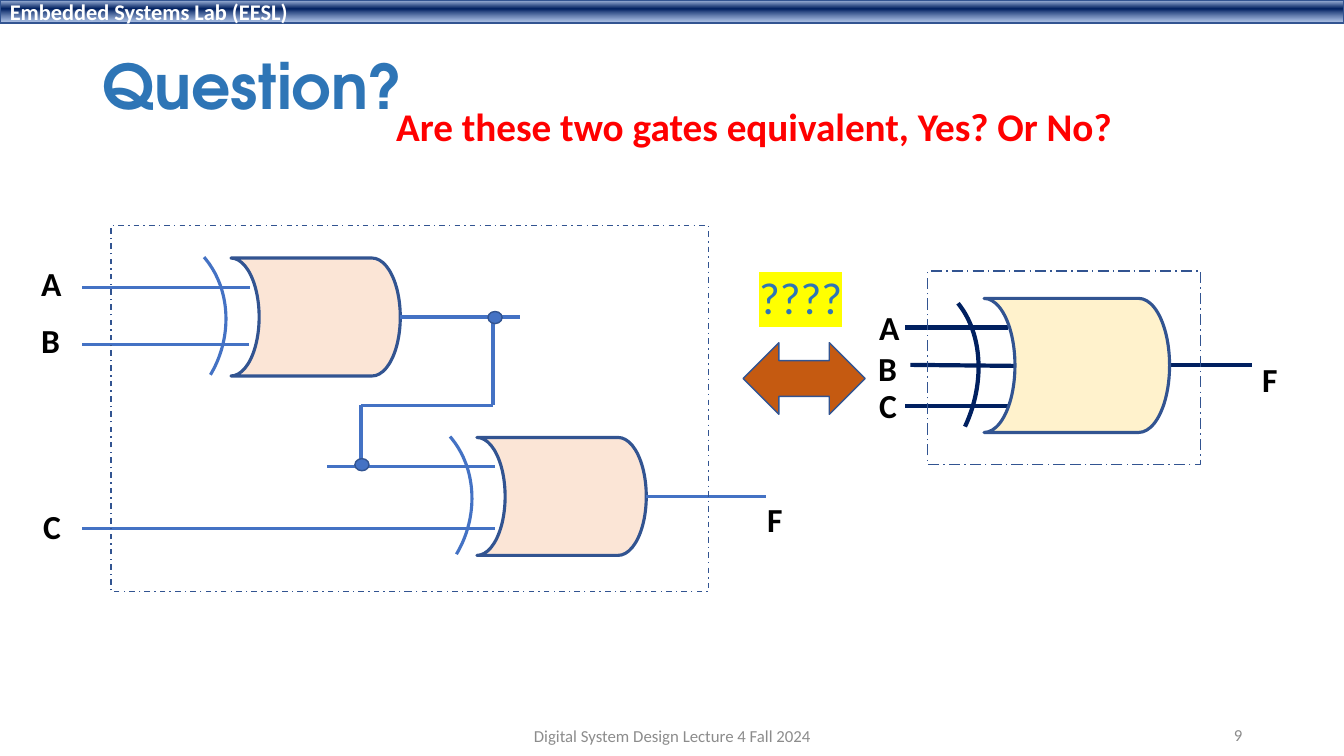
"""Builds a slide asking whether two XOR gate circuits are equivalent."""
from pptx import Presentation, oxml, util as u
from pptx.dml.color import RGBColor
from pptx.enum import dml, shapes, text
from pptx.oxml import ns

NAVY, BLUE, OUTLINE = "002060", "4472C4", "325491"
BLACK, GREY, TITLE_BLUE = "000000", "8C8C8C", "2E75B6"
KIND = shapes.MSO_SHAPE
LEFT, CENTER, RIGHT = text.PP_ALIGN.LEFT, text.PP_ALIGN.CENTER, text.PP_ALIGN.RIGHT
TOP, MIDDLE = text.MSO_ANCHOR.TOP, text.MSO_ANCHOR.MIDDLE

BAR_STOPS = [(2, "ABC0E4", 100), (38, NAVY, 100), (93, "7E9ED6", 64)]

SINGLE_GATE = {
    "wires": [(8.98, 3.25, 10, 3.25), (9.03, 3.62, 10.07, 3.63),
              (11.61, 3.62, 12.42, 3.62), (8.98, 4.03, 10.02, 4.03)],
    "labels": [("A", 8.62, 3), ("B", 8.61, 3.4), ("C", 8.62, 3.77), ("F", 12.42, 3.51)],
    "frame": (9.2, 2.69, 2.71, 1.92),
    "body": (9.76, 2.96, 1.84, 1.33),
    "arc": (7.99, 2.73, 1.68, 2.2),
}
CASCADE = {
    "gates": [(2.29, 2.56), (4.73, 4.34)],
    "wires": [(2.47, 3.42, 0.81, 3.42), (2.48, 2.85, 0.81, 2.85),
              (4.91, 5.24, 0.81, 5.24), (4.91, 4.63, 3.24, 4.63),
              (4.89, 3.15, 4.89, 4.02), (4.89, 4.02, 3.58, 4.02),
              (3.58, 4.02, 3.58, 4.63)],
    "joints": [(4.84, 3.09), (3.52, 4.55)],
    "labels": [("A", 0.31, 2.56), ("B", 0.31, 3.12), ("C", 0.33, 4.97), ("F", 7.51, 4.9)],
    "frame": (1.1, 2.24, 5.93, 3.63),
}


def color(value):
    return RGBColor.from_string(value)


def inches(lengths):
    return [u.Inches(length) for length in lengths]


def write(shape, words, size, ink, bold=False, font="Calibri", align=LEFT,
          anchor=TOP, wrap=True, highlight=None):
    frame = shape.text_frame
    frame.word_wrap = wrap
    frame.auto_size = text.MSO_AUTO_SIZE.NONE
    frame.vertical_anchor = anchor
    paragraph = frame.paragraphs[0]
    paragraph.alignment = align
    run = paragraph.add_run()
    run.text = words
    run.font.size = u.Pt(size)
    run.font.bold = bold
    run.font.color.rgb = color(ink)
    if highlight:
        run.font.fill
        run._r.get_or_add_rPr().append(oxml.parse_xml(
            f'<a:highlight {ns.nsdecls("a")}><a:srgbClr val="{highlight}"/></a:highlight>'))
    run.font.name = font
    return paragraph


def add_text(parent, box, *content, **style):
    return write(parent.add_textbox(*inches(box)), *content, **style)


def add_shape(parent, kind, box, fill=None, line=OUTLINE, width=1, turn=0, dash=None):
    shape = parent.add_shape(kind, *inches(box))
    shape.shadow.inherit = False
    shape.rotation = turn
    if fill:
        shape.fill.solid()
        shape.fill.fore_color.rgb = color(fill)
    else:
        shape.fill.background()
    shape.line.color.rgb = color(line)
    shape.line.width = u.Pt(width)
    if dash:
        shape.line.dash_style = dash
    return shape


def add_wire(parent, ends, ink, width):
    wire = parent.add_connector(shapes.MSO_CONNECTOR.STRAIGHT, *inches(ends))
    wire.line.color.rgb = color(ink)
    wire.line.width = u.Pt(width)
    wire._element.spPr.append(oxml.parse_xml(f'<a:effectLst {ns.nsdecls("a")}/>'))


def add_arc(parent, box, ink, width, turn, angles):
    arc = add_shape(parent, KIND.ARC, box, line=ink, width=width, turn=turn)
    for index, angle in enumerate(angles):
        arc.adjustments[index] = angle


def add_body(parent, box, fill):
    add_shape(parent, KIND.FLOWCHART_STORED_DATA, box, fill, width=2.25, turn=180)


def add_labels(parent, labels):
    for letter, left, top in labels:
        add_text(parent, (left, top, 0.49, 0.5), letter, 24, BLACK, bold=True)


def add_bar(parent):
    bar = add_shape(parent, KIND.RECTANGLE, (0, 0, 13.33, 0.23))
    stops = "".join(
        f'<a:gs pos="{place * 1000}"><a:srgbClr val="{ink}">'
        f'<a:alpha val="{opacity * 1000}"/></a:srgbClr></a:gs>'
        for place, ink, opacity in BAR_STOPS)
    properties = bar._element.spPr
    empty = properties.find(ns.qn("a:noFill"))
    properties.replace(empty, oxml.parse_xml(
        f'<a:gradFill {ns.nsdecls("a")} rotWithShape="1"><a:gsLst>{stops}</a:gsLst>'
        '<a:lin ang="5400000" scaled="0"/></a:gradFill>'))
    write(bar, "Embedded Systems Lab (EESL)", 16, "FFFFFF", bold=True, anchor=MIDDLE)


def add_single_gate(parent):
    for ends in SINGLE_GATE["wires"]:
        add_wire(parent, ends, NAVY, 3)
    add_labels(parent, SINGLE_GATE["labels"])
    add_shape(parent, KIND.RECTANGLE, SINGLE_GATE["frame"],
              dash=dml.MSO_LINE.LONG_DASH_DOT)
    add_body(parent, SINGLE_GATE["body"], "FFF2CC")
    add_arc(parent, SINGLE_GATE["arc"], NAVY, 3, 20.4, (173.337, 4.866))


def add_cascade(parent):
    for left, top in CASCADE["gates"]:
        add_body(parent, (left, top, 1.68, 1.17), "FBE5D6")
        add_arc(parent, (left - 1.73, top - 0.28, 1.67, 1.91), BLUE, 2.25, 17.2,
                (177.238, 10.641))
        middle = top + 0.585
        add_wire(parent, (left + 1.68, middle, left + 2.87, middle), BLUE, 2.25)
    for ends in CASCADE["wires"]:
        add_wire(parent, ends, BLUE, 2.25)
    for left, top in CASCADE["joints"]:
        add_shape(parent, KIND.OVAL, (left, top, 0.14, 0.12), BLUE)
    add_labels(parent, CASCADE["labels"])
    add_shape(parent, KIND.RECTANGLE, CASCADE["frame"], dash=dml.MSO_LINE.DASH_DOT)


def main():
    presentation = Presentation()
    presentation.slide_width, presentation.slide_height = inches((13.33, 7.5))
    slide = presentation.slides.add_slide(presentation.slide_layouts[5])
    canvas = slide.shapes

    add_bar(canvas)
    title = canvas.title
    title.left, title.top, title.width, title.height = inches((0.92, 0.4, 11.5, 0.97))
    heading = write(title, "Question?", 44, TITLE_BLUE, bold=True,
                    font="TeX Gyre Adventor", anchor=MIDDLE)
    heading.line_spacing = 0.9
    add_text(canvas, (9.42, 7.09, 3, 0.4), "9", 12, GREY, align=RIGHT, anchor=MIDDLE)
    add_text(canvas, (3.83, 0.97, 7.39, 1.04),
             "Are these two gates equivalent, Yes? Or No?", 28, "FF0000",
             bold=True, wrap=False)

    add_single_gate(canvas.add_group_shape().shapes)
    add_shape(canvas, KIND.LEFT_RIGHT_ARROW, (7.37, 3.4, 1.21, 0.71), "C55A11")
    add_text(canvas, (7.43, 2.63, 1.04, 0.64), "????", 32, TITLE_BLUE,
             wrap=False, highlight="FFFF00")
    add_cascade(canvas.add_group_shape().shapes)

    add_text(canvas, (4.42, 7.1, 4.5, 0.4), "Digital System Design Lecture 4 Fall 2024",
             12, GREY, align=CENTER, anchor=MIDDLE)
    presentation.save("out.pptx")


if __name__ == "__main__":
    main()
